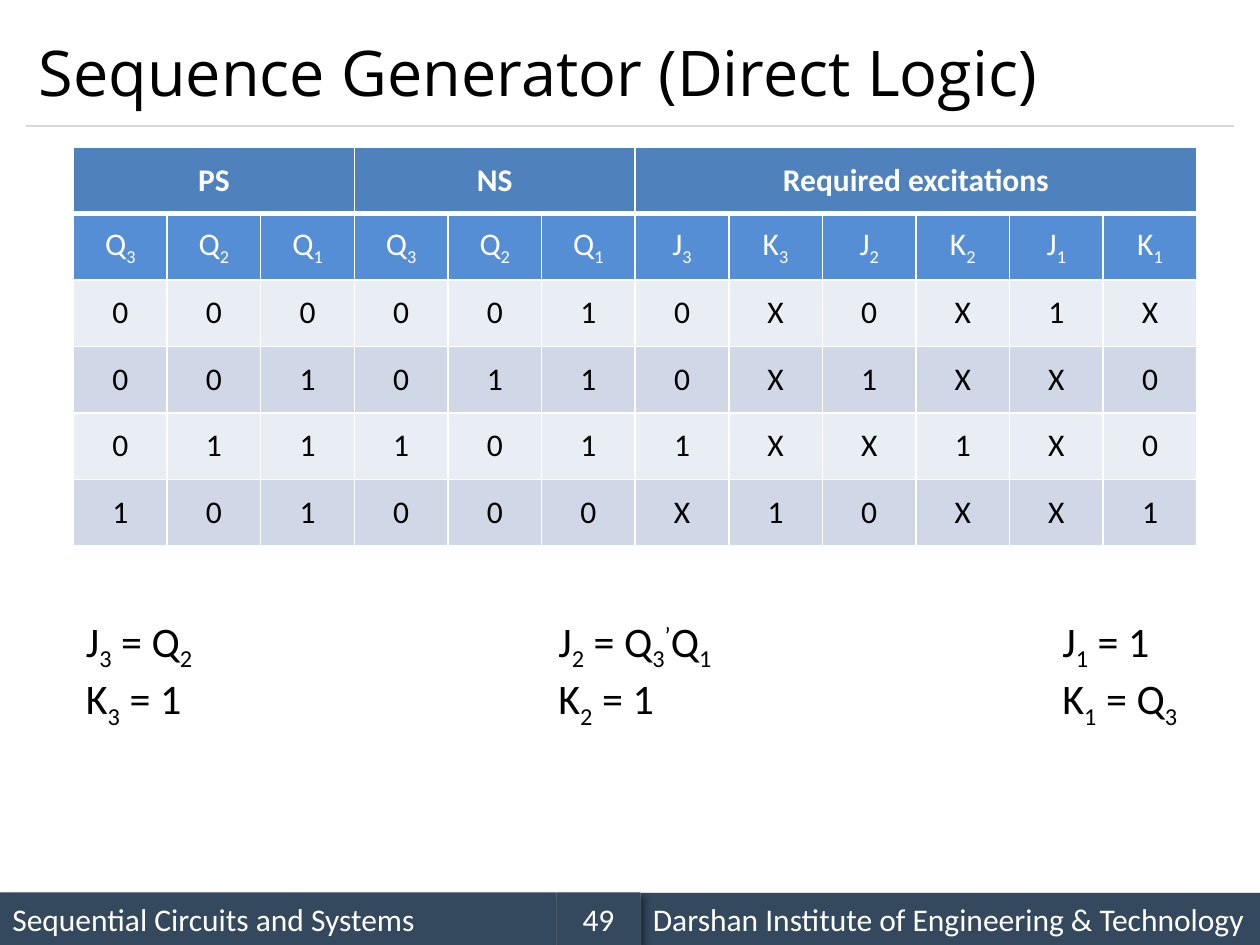
import pptx
import pptx.dml.color
import pptx.enum.shapes
import pptx.enum.text
import pptx.oxml
import pptx.oxml.ns
import pptx.util

Pt = pptx.util.Pt
ALIGN = pptx.enum.text.PP_ALIGN
MIDDLE = pptx.enum.text.MSO_ANCHOR.MIDDLE
BASELINES = {"_": "-25000", "^": "30000"}


def color(value):
    return pptx.dml.color.RGBColor.from_string(value)


def parse_xml(text):
    return pptx.oxml.parse_xml(text.replace(">", f" {pptx.oxml.ns.nsdecls('a')}>", 1))


def split_scripts(text):
    """Yield (text, baseline) pieces; "_" lowers and "^" raises the next character."""
    plain = ""
    characters = iter(text)
    for character in characters:
        if character in BASELINES:
            if plain:
                yield plain, None
            yield next(characters), BASELINES[character]
            plain = ""
        else:
            plain += character
    if plain:
        yield plain, None


def write(frame, text, *, size=18, font="Calibri", ink="000000", bold=False, align=ALIGN.LEFT):
    for index, line in enumerate(text.split("\n")):
        para = frame.add_paragraph() if index else frame.paragraphs[0]
        para.alignment = align
        for piece, baseline in split_scripts(line):
            span = para.add_run()
            span.text = piece
            span.font.size = Pt(size)
            span.font.name = font
            span.font.bold = bold
            span.font.color.rgb = color(ink)
            if baseline:
                span.font._element.set("baseline", baseline)


class Page:
    footer_fill = "34495E"
    rule_color = "D9D9D9"
    header_fill = "4F81BD"
    label_fill = "558ED5"
    band_fills = ("E9EDF4", "D0D8E8")

    def __init__(self, deck):
        self.slide = deck.slides.add_slide(deck.slide_layouts[5])
        self.shapes = self.slide.shapes

    def title(self, text, left, top, width, height):
        box = self.shapes.title
        box.left, box.top, box.width, box.height = map(Pt, (left, top, width, height))
        box.text_frame.vertical_anchor = MIDDLE
        write(box.text_frame, text, size=36, font="Open Sans")

    def rule(self, left, right, y):
        line = self.shapes.add_connector(
            pptx.enum.shapes.MSO_CONNECTOR.STRAIGHT, Pt(left), Pt(y), Pt(right), Pt(y))
        line.line.color.rgb = color(self.rule_color)
        line.line.width = Pt(0.75)
        line._element.spPr.append(parse_xml("<a:effectLst></a:effectLst>"))

    def footer(self, text, left, top, width, height, align=ALIGN.LEFT):
        box = self.shapes.add_shape(
            pptx.enum.shapes.MSO_SHAPE.RECTANGLE, Pt(left), Pt(top), Pt(width), Pt(height))
        box.fill.solid()
        box.fill.fore_color.rgb = color(self.footer_fill)
        box.line.fill.background()
        box._element.spPr.append(parse_xml(
            f'<a:effectLst><a:outerShdw blurRad="{Pt(4)}" dist="{Pt(3)}" dir="2700000">'
            '<a:srgbClr val="000000"><a:alpha val="40000"/></a:srgbClr>'
            '</a:outerShdw></a:effectLst>'))
        box.text_frame.word_wrap = True
        box.text_frame.vertical_anchor = MIDDLE
        write(box.text_frame, text, ink="FFFFFF", align=align)

    def equations(self, text, left, top, width, height):
        box = self.shapes.add_textbox(Pt(left), Pt(top), Pt(width), Pt(height))
        box.text_frame.word_wrap = True
        write(box.text_frame, text, size=24)

    def cell(self, cell, text, fill, widths, **style):
        """Fill one cell; widths gives its border points by side."""
        properties = cell._tc.get_or_add_tcPr()
        for side in "LRTB":
            properties.append(parse_xml(
                f'<a:ln{side} w="{Pt(widths.get(side, 1))}"><a:solidFill>'
                f'<a:srgbClr val="FFFFFF"/></a:solidFill></a:ln{side}>'))
        cell.fill.solid()
        cell.fill.fore_color.rgb = color(fill)
        cell.vertical_anchor = MIDDLE
        if text:
            write(cell.text_frame, text, align=ALIGN.CENTER, **style)

    def state_table(self, groups, labels, states, left, top, width, height):
        table = self.shapes.add_table(
            len(states) + 2, len(labels), Pt(left), Pt(top), Pt(width), Pt(height)).table
        for column in table.columns:
            column.width = Pt(width / len(labels))
        headings = [""] * len(labels)
        start = 0
        for name, count in groups:
            headings[start] = name
            table.cell(0, start).merge(table.cell(0, start + count - 1))
            start += count
        for column, (heading, label) in enumerate(zip(headings, labels)):
            self.cell(table.cell(0, column), heading, self.header_fill, {"B": 3},
                      ink="FFFFFF", bold=True)
            self.cell(table.cell(1, column), label, self.label_fill, {"T": 3}, ink="FFFFFF")
            for row, state in enumerate(states):
                self.cell(table.cell(row + 2, column), state[column],
                          self.band_fills[row % 2], {})


def main():
    deck = pptx.Presentation()
    deck.slide_width, deck.slide_height = Pt(720), Pt(540)
    page = Page(deck)

    page.footer("Sequential Circuits and Systems", 0, 510, 318, 30)
    page.rule(15, 705, 72)
    page.footer("Darshan Institute of Engineering & Technology", 366, 510.25, 354, 30)
    page.footer("49", 318, 510, 48, 30, align=ALIGN.CENTER)
    page.title("Sequence Generator (Direct Logic)", 15, 9, 690, 63)

    page.state_table(
        groups=[("PS", 3), ("NS", 3), ("Required excitations", 6)],
        labels="Q_3 Q_2 Q_1 Q_3 Q_2 Q_1 J_3 K_3 J_2 K_2 J_1 K_1".split(),
        states=["0000010X0X1X", "0010110X1XX0", "0111011XX1X0", "101000X10XX1"],
        left=42, top=84, width=642, height=228)

    for text, left, width in [
        ("J_3 = Q_2\nK_3 = 1", 42, 120),
        ("J_2 = Q_3^’Q_1\nK_2 = 1", 312, 120),
        ("J_1 = 1\nK_1 = Q_3", 600, 84),
    ]:
        page.equations(text, left, 348, width, 65.5)

    deck.save("out.pptx")


if __name__ == "__main__":
    main()
